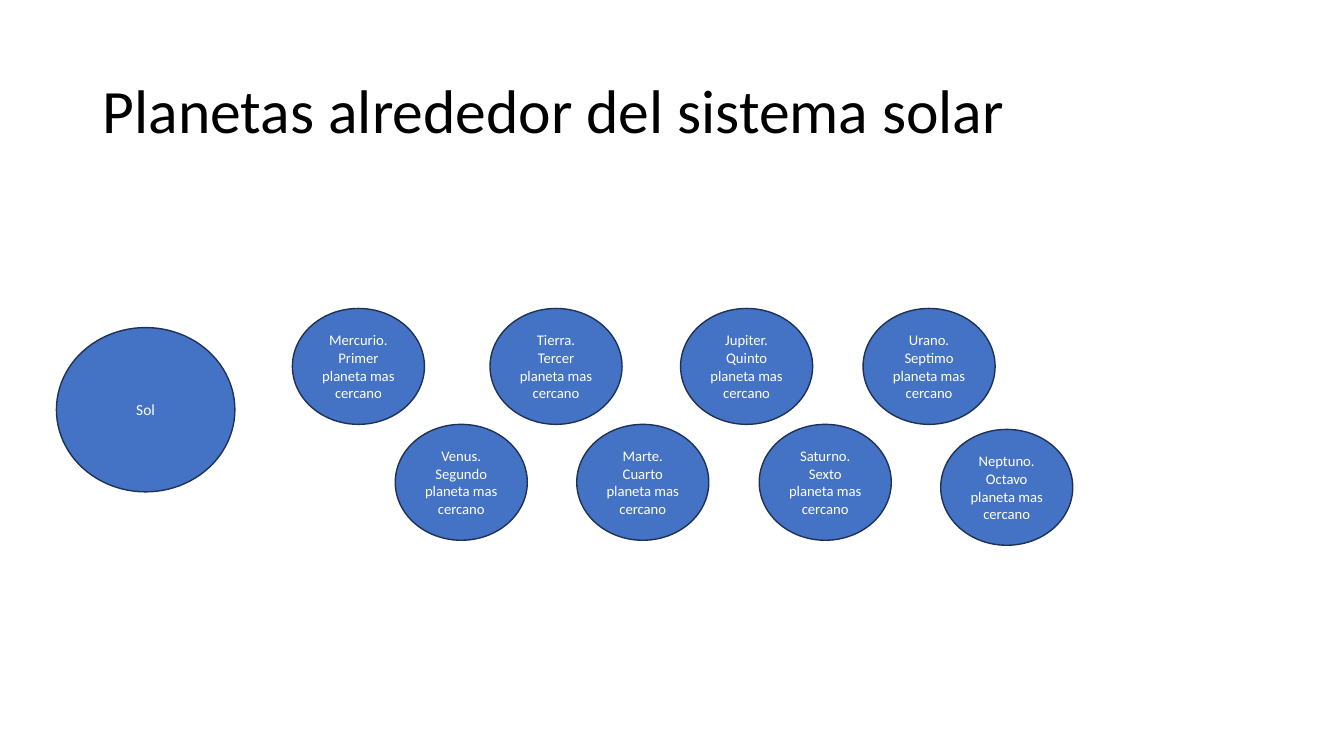
"""Build a slide of the planets in order from the sun."""
from dataclasses import dataclass

from pptx import Presentation
from pptx.dml.color import RGBColor
from pptx.enum import shapes, text
from pptx.util import Inches, Pt


@dataclass(frozen=True)
class Theme:
    """Colours, font and type sizes of the slide."""
    face: str = "Calibri"
    ink: str = "000000"
    pale: str = "FFFFFF"
    fill: str = "4472C4"
    edge: str = "1E3256"
    head: float = 44
    sun: float = 11
    planet: float = 10.5


THEME = Theme()
SIZE = (1.31, 1.15)
PLANETS = [
    ("Mercurio", "Primer", 2.9, 3.06),
    ("Venus", "Segundo", 3.92, 4.21),
    ("Tierra", "Tercer", 4.86, 3.06),
    ("Marte", "Cuarto", 5.72, 4.21),
    ("Jupiter", "Quinto", 6.75, 3.06),
    ("Saturno", "Sexto", 7.53, 4.21),
    ("Urano", "Septimo", 8.56, 3.06),
    ("Neptuno", "Octavo", 9.33, 4.26),
]


def write(frame, words, size, color, align):
    """Put one styled paragraph into a text frame."""
    frame.word_wrap = True
    frame.vertical_anchor = text.MSO_ANCHOR.MIDDLE
    para = frame.paragraphs[0]
    para.text = words
    para.alignment = align
    para.font.name = THEME.face
    para.font.size = Pt(size)
    para.font.color.rgb = RGBColor.from_string(color)
    return para


def add_title(slide, words):
    """Place and fill the title placeholder."""
    title = slide.shapes.title
    title.left, title.top = Inches(0.92), Inches(0.4)
    title.width, title.height = Inches(11.5), Inches(1.45)
    para = write(title.text_frame, words, THEME.head, THEME.ink,
                 text.PP_ALIGN.LEFT)
    para.line_spacing = 0.9


def add_orb(slide, box, words, size):
    """Draw a labelled ellipse for a body in the sky."""
    orb = slide.shapes.add_shape(shapes.MSO_SHAPE.OVAL, *map(Inches, box))
    orb.shadow.inherit = False
    orb.fill.solid()
    orb.fill.fore_color.rgb = RGBColor.from_string(THEME.fill)
    orb.line.color.rgb = RGBColor.from_string(THEME.edge)
    orb.line.width = Pt(1)
    write(orb.text_frame, words, size, THEME.pale, text.PP_ALIGN.CENTER)


def main():
    """Build and save the slide."""
    deck = Presentation()
    deck.slide_width, deck.slide_height = Inches(13.33), Inches(7.5)
    slide = deck.slides.add_slide(deck.slide_layouts.get_by_name("Title Only"))
    add_title(slide, "Planetas alrededor del sistema solar")
    add_orb(slide, (0.56, 3.25, 1.77, 1.63), "Sol", THEME.sun)
    for name, rank, left, top in PLANETS:
        words = f"{name}.\v{rank} planeta mas cercano"
        add_orb(slide, (left, top, *SIZE), words, THEME.planet)
    deck.save("out.pptx")


if __name__ == "__main__":
    main()
